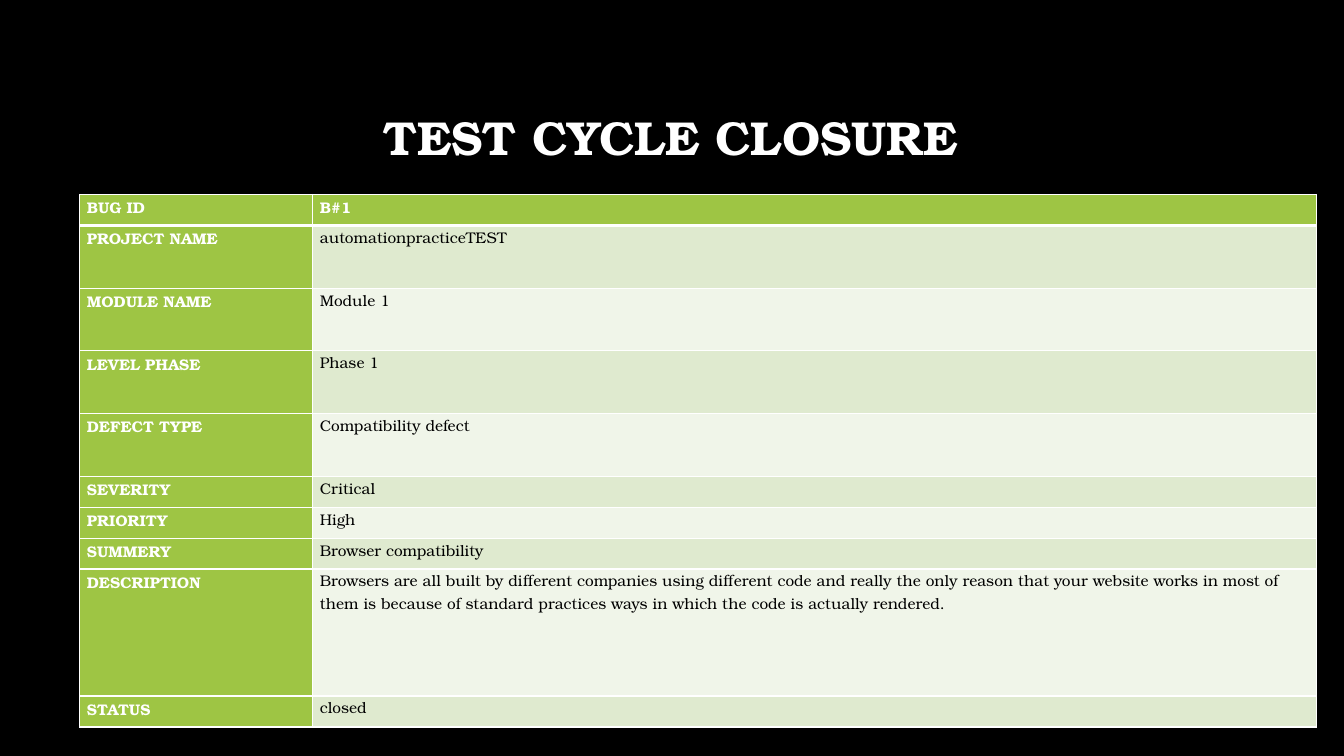
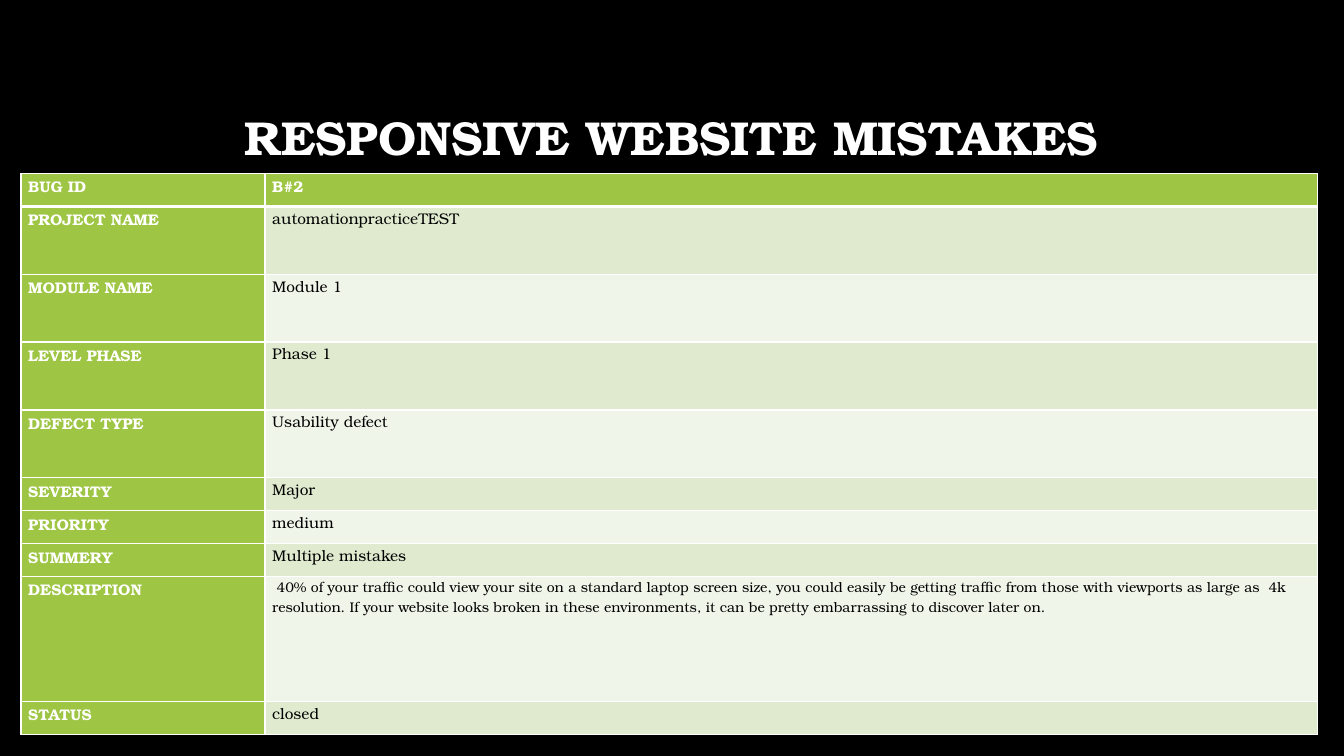
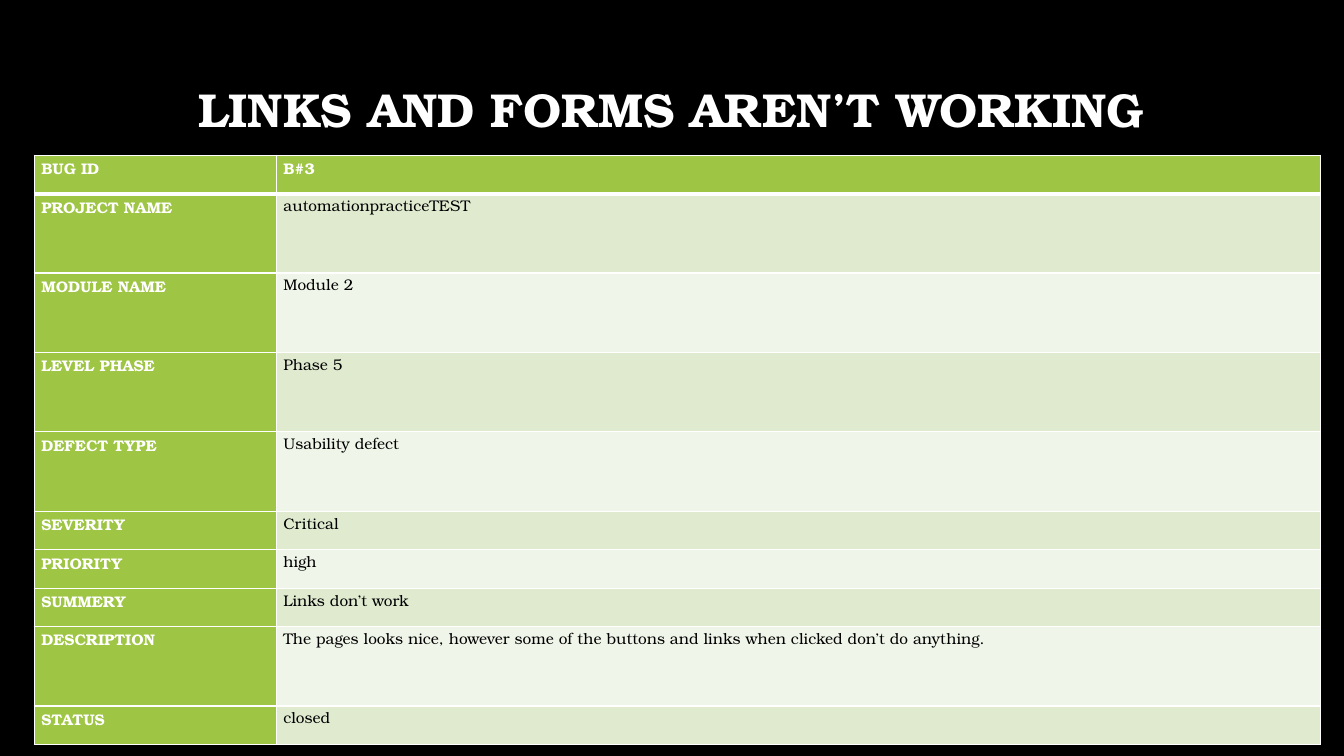
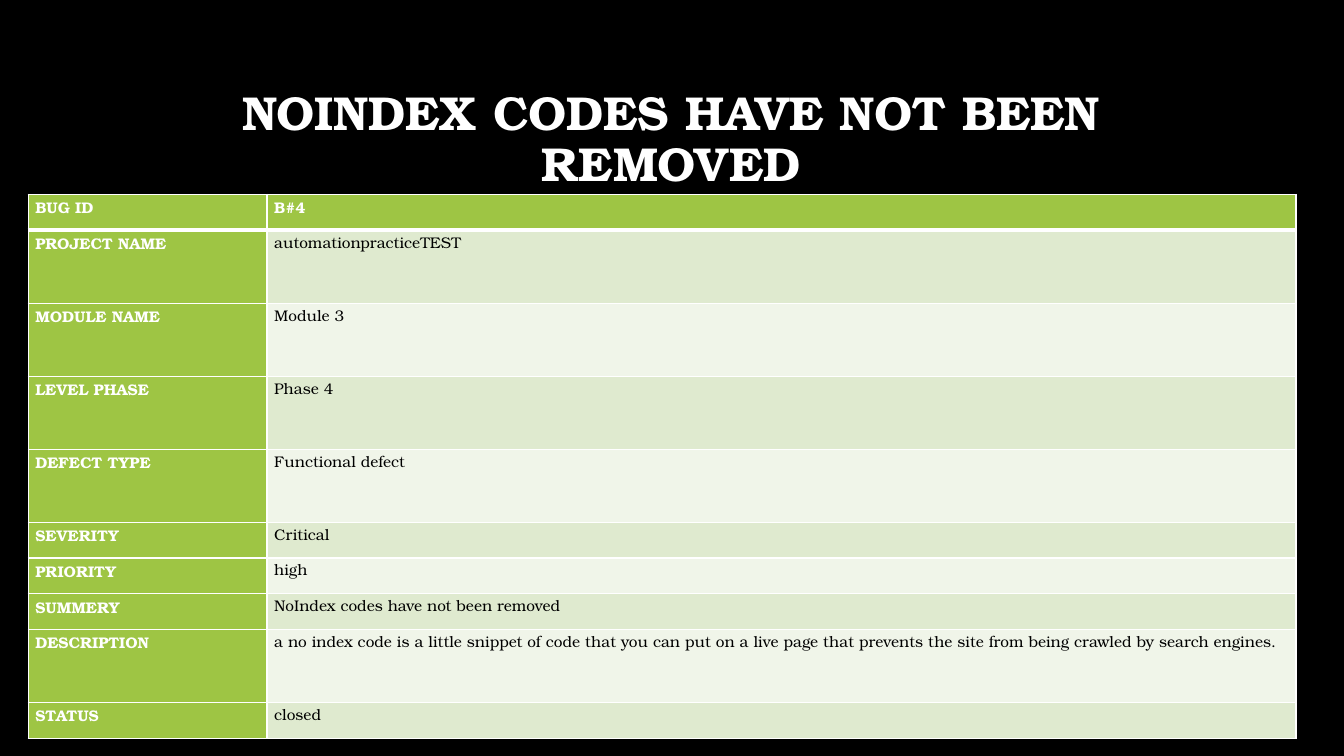
"""Build the four bug report slides of a test cycle closure deck."""
import dataclasses

import lxml.etree
import pptx
import pptx.dml.color
import pptx.enum.text
import pptx.oxml.ns
import pptx.presentation
import pptx.slide
import pptx.table
import pptx.text.text
import pptx.util

COLORS = {
    "background": "000000",
    "label": "9EC544",
    "dark_band": "DFEACF",
    "light_band": "F0F5E9",
    "light_text": "FFFFFF",
    "dark_text": "000000",
    "border": "FFFFFF",
}
FONT = "TeX Gyre Bonum"
TITLE_SIZE = 34
BODY_SIZE = 11
LABELS = (
    "BUG ID", "PROJECT NAME", "MODULE NAME", "LEVEL PHASE", "DEFECT TYPE",
    "SEVERITY", "PRIORITY", "SUMMERY", "DESCRIPTION", "STATUS",
)
TALL_ROWS = ("PROJECT NAME", "MODULE NAME", "LEVEL PHASE", "DEFECT TYPE")
PROJECT = "automationpracticeTEST"
STATUS = "closed"


@dataclasses.dataclass(frozen=True)
class TableLayout:
    """Position, column widths and row heights of a report, in centimetres."""

    left: float
    top: float
    label_width: float
    value_width: float
    short_row: float
    tall_row: float
    description_row: float

    def row_height(self, label: str) -> float:
        """Return the height of the row with this label."""
        if label == "DESCRIPTION":
            return self.description_row
        return self.tall_row if label in TALL_ROWS else self.short_row


@dataclasses.dataclass(frozen=True)
class BugReport:
    """The content of one bug report slide."""

    title: str
    layout: TableLayout
    bug_id: str
    module: str
    phase: str
    defect: str
    severity: str
    priority: str
    summary: str
    description: str
    description_size: int = BODY_SIZE
    title_bottom_inset: float = 0.13

    def values(self) -> tuple[str, ...]:
        """Return the values in the order of the labels."""
        return (
            self.bug_id, PROJECT, self.module, self.phase, self.defect,
            self.severity, self.priority, self.summary, self.description, STATUS,
        )


REPORTS = (
    BugReport(
        "TEST CYCLE CLOSURE",
        TableLayout(2.01, 4.9, 5.87, 25.3, 0.78, 1.58, 3.2),
        "B#1", "Module 1", "Phase 1", "Compatibility defect", "Critical", "High",
        "Browser compatibility",
        "Browsers are all built by different companies using different code and "
        "really the only reason that your website works in most of them is because "
        "of standard practices ways in which the code is actually rendered.",
    ),
    BugReport(
        "RESPONSIVE WEBSITE MISTAKES",
        TableLayout(0.53, 4.37, 6.15, 26.52, 0.83, 1.71, 3.14),
        "B#2", "Module 1", "Phase 1", "Usability defect", "Major", "medium",
        "Multiple mistakes",
        " 40% of your traffic could view your site on a standard laptop screen size, "
        "you could easily be getting traffic from those with viewports as large as  4k "
        "resolution. If your website looks broken in these environments, it can be "
        "pretty embarrassing to discover later on.",
        description_size=10,
    ),
    BugReport(
        "LINKS AND FORMS AREN’T WORKING",
        TableLayout(0.86, 3.91, 6.1, 26.31, 0.97, 2, 2),
        "B#3", "Module 2", "Phase 5", "Usability defect", "Critical", "high",
        "Links don’t work",
        "The pages looks nice, however some of the buttons and links when clicked "
        "don’t do anything.",
        title_bottom_inset=1.53,
    ),
    BugReport(
        "NOINDEX CODES HAVE NOT BEEN REMOVED",
        TableLayout(0.71, 4.9, 6.02, 25.93, 0.9, 1.84, 1.84),
        "B#4", "Module 3", "Phase 4", "Functional defect", "Critical", "high",
        "NoIndex codes have not been removed",
        "a no index code is a little snippet of code that you can put on a live page "
        "that prevents the site from being crawled by search engines.",
    ),
)


def rgb(name: str) -> pptx.dml.color.RGBColor:
    """Return the named colour."""
    return pptx.dml.color.RGBColor.from_string(COLORS[name])


def style_paragraph(
    paragraph: pptx.text.text._Paragraph, size: int, color: str, bold: bool, spacing: float
) -> None:
    """Set the font and line spacing of a paragraph."""
    paragraph.line_spacing = spacing
    paragraph.font.name = FONT
    paragraph.font.size = pptx.util.Pt(size)
    paragraph.font.bold = bold
    paragraph.font.color.rgb = rgb(color)


def add_border(cell: pptx.table._Cell, side: str, width: float) -> None:
    """Draw one side of a cell; sides must be added in the order L, R, T, B."""
    qn = pptx.oxml.ns.qn
    properties = cell._tc.get_or_add_tcPr()
    line = lxml.etree.SubElement(properties, qn(f"a:ln{side}"), w=str(pptx.util.Pt(width)))
    fill = lxml.etree.SubElement(line, qn("a:solidFill"))
    lxml.etree.SubElement(fill, qn("a:srgbClr"), val=COLORS["border"])


def fill_cell(
    cell: pptx.table._Cell, text: str, fill: str, size: int, is_label: bool, is_header: bool
) -> None:
    """Write and format one table cell."""
    cell.margin_left = cell.margin_right = pptx.util.Cm(0.18)
    cell.margin_top = cell.margin_bottom = 0
    cell.text = text
    style_paragraph(
        cell.text_frame.paragraphs[0], size,
        "light_text" if is_label else "dark_text", is_label, 1.07,
    )
    for side in "LRTB" if is_header else "LRB":
        add_border(cell, side, 3 if is_header and side == "B" else 1)
    cell.fill.solid()
    cell.fill.fore_color.rgb = rgb(fill)


def add_title(slide: pptx.slide.Slide, report: BugReport) -> None:
    """Add the centred slide title."""
    cm = pptx.util.Cm
    title = slide.shapes.add_textbox(cm(2.54), cm(1.7), cm(28.75), cm(3.68)).text_frame
    title.word_wrap = True
    title.vertical_anchor = pptx.enum.text.MSO_ANCHOR.MIDDLE
    title.margin_bottom = cm(report.title_bottom_inset)
    title.text = report.title
    heading = title.paragraphs[0]
    heading.alignment = pptx.enum.text.PP_ALIGN.CENTER
    style_paragraph(heading, TITLE_SIZE, "light_text", True, 0.9)


def add_report_table(slide: pptx.slide.Slide, report: BugReport) -> None:
    """Add the table of labels and values."""
    cm = pptx.util.Cm
    layout = report.layout
    heights = [layout.row_height(label) for label in LABELS]
    table = slide.shapes.add_table(
        len(LABELS), 2, cm(layout.left), cm(layout.top),
        cm(layout.label_width + layout.value_width), cm(sum(heights)),
    ).table
    table.first_row = table.horz_banding = False
    table.columns[0].width = cm(layout.label_width)
    table.columns[1].width = cm(layout.value_width)
    for index, (label, value, height) in enumerate(zip(LABELS, report.values(), heights)):
        is_header = index == 0
        band = "label" if is_header else "dark_band" if index % 2 else "light_band"
        size = report.description_size if label == "DESCRIPTION" else BODY_SIZE
        table.rows[index].height = cm(height)
        fill_cell(table.cell(index, 0), label, "label", BODY_SIZE, True, is_header)
        fill_cell(table.cell(index, 1), value, band, size, is_header, is_header)


def add_report_slide(deck: pptx.presentation.Presentation, report: BugReport) -> None:
    """Add one bug report slide."""
    slide = deck.slides.add_slide(deck.slide_layouts[6])
    slide.background.fill.solid()
    slide.background.fill.fore_color.rgb = rgb("background")
    add_title(slide, report)
    add_report_table(slide, report)


def main() -> None:
    """Build and save the deck."""
    deck = pptx.Presentation()
    deck.slide_width = pptx.util.Cm(33.87)
    deck.slide_height = pptx.util.Cm(19.05)
    for report in REPORTS:
        add_report_slide(deck, report)
    deck.save("out.pptx")


if __name__ == "__main__":
    main()
